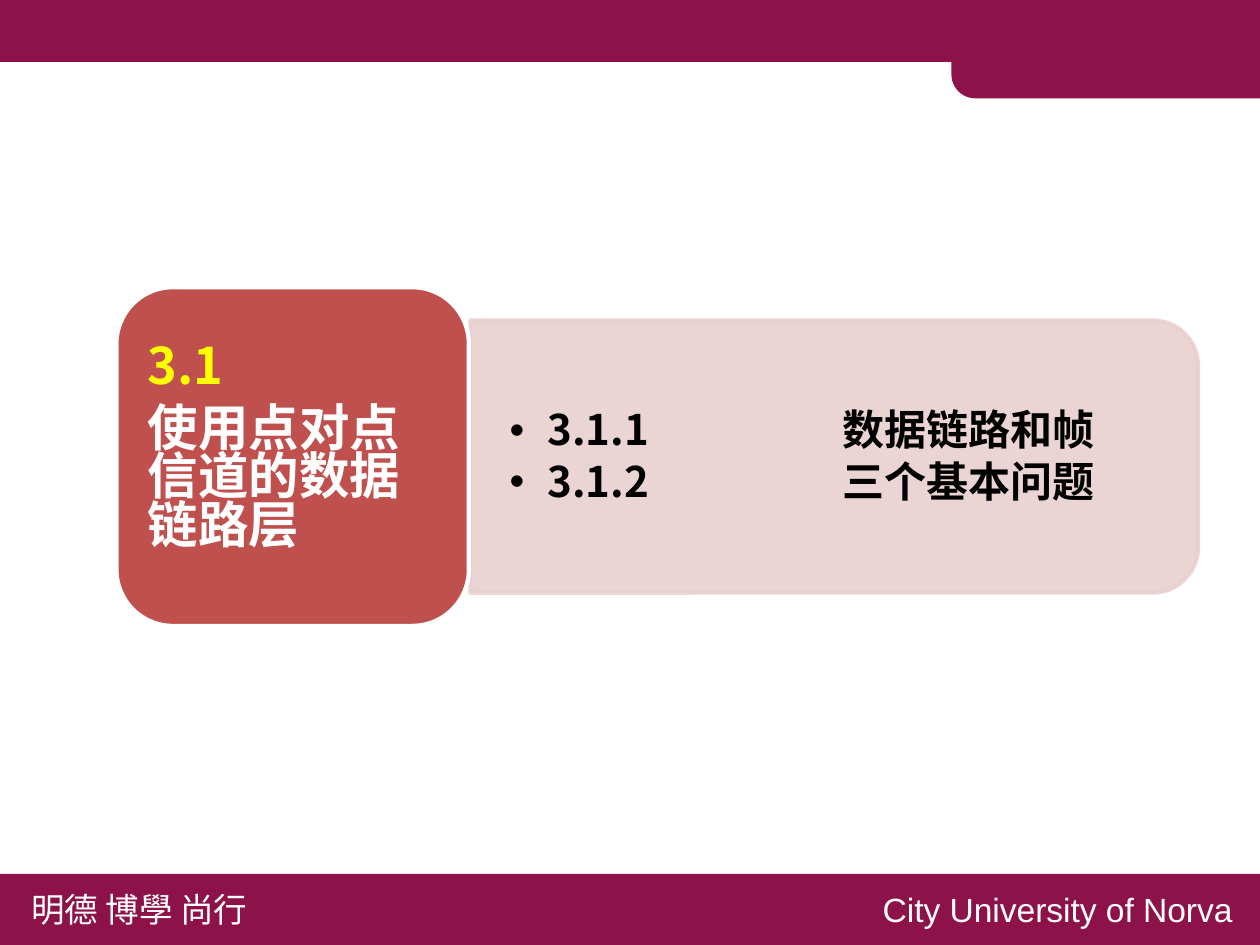
from lxml.etree import SubElement
from pptx import Presentation
from pptx.dml.color import RGBColor
from pptx.enum.shapes import MSO_SHAPE as SHAPE
from pptx.enum.text import MSO_ANCHOR as ANCHOR, PP_ALIGN as ALIGN
from pptx.oxml.ns import qn
from pptx.util import Inches, Pt

COLORS = {"maroon": "8D124A", "pink": "E8D0D0", "red": "C0504D",
          "yellow": "FFFF00", "white": "FFFFFF", "black": "000000"}
CHINESE = "Noto Sans CJK SC"
WIDTH, HEIGHT = 8.33, 6.25

presentation = Presentation()
presentation.slide_width = Inches(WIDTH)
presentation.slide_height = Inches(HEIGHT)
slide = presentation.slides.add_slide(presentation.slide_layouts[6])


def add_filled(kind, left, top, width, height, color, rotation=0):
    """Add a filled shape; the box is the one seen after a quarter turn."""
    if rotation:
        left, top = left + (width - height) / 2, top + (height - width) / 2
        width, height = height, width
    shape = slide.shapes.add_shape(kind, Inches(left), Inches(top),
                                   Inches(width), Inches(height))
    shape.rotation = rotation
    shape.shadow.inherit = False
    shape.fill.solid()
    shape.fill.fore_color.rgb = RGBColor.from_string(COLORS[color])
    shape.line.fill.background()
    return shape


def add_text(paragraph, text, size, color, font=CHINESE, bold=False):
    run = paragraph.add_run()
    run.text = text
    run.font.size = Pt(size)
    run.font.bold = bold
    run.font.name = font
    run.font.color.rgb = RGBColor.from_string(COLORS[color])
    SubElement(run.font._element, qn("a:ea"), typeface=font)


# Header and footer bands
add_filled(SHAPE.RECTANGLE, 0, 0, WIDTH, 0.41, "maroon")
header_tab = add_filled(SHAPE.ROUND_2_SAME_RECTANGLE, 6.29, 0.02, 2.04, 0.63,
                        "maroon", rotation=270)
header_tab.adjustments[0] = 0.25
add_filled(SHAPE.RECTANGLE, 0, 5.78, WIDTH, 0.47, "maroon")

for left, width, text, font, align in (
        (0.11, 1.68, "明德 博學 尚行", CHINESE, ALIGN.LEFT),
        (5.63, 2.62, "City University of Norva", "Arial", ALIGN.RIGHT)):
    footer = slide.shapes.add_textbox(Inches(left), Inches(5.83),
                                      Inches(width), Inches(0.37))
    footer.text_frame.word_wrap = False
    paragraph = footer.text_frame.paragraphs[0]
    paragraph.alignment = align
    add_text(paragraph, text, 16, "white", font)

# Panel behind the list of subsections
panel = add_filled(SHAPE.ROUND_2_SAME_RECTANGLE, 3.11, 2.12, 4.81, 1.8,
                   "pink", rotation=90)
panel.line.color.rgb = RGBColor.from_string(COLORS["pink"])
panel.line.width = Pt(2)
for color_element in panel._element.spPr.iter(qn("a:srgbClr")):
    SubElement(color_element, qn("a:alpha"), val="90000")

# Subsections, number and name in two tabbed columns
subsections = slide.shapes.add_textbox(Inches(3.1), Inches(2.22),
                                       Inches(4.73), Inches(1.62))
frame = subsections.text_frame
frame.word_wrap = True
frame.vertical_anchor = ANCHOR.MIDDLE
frame.margin_left = frame.margin_right = Inches(0.27)
frame.margin_top = frame.margin_bottom = Inches(0.14)
for index, (number, name) in enumerate((("3.1.1", "数据链路和帧"),
                                        ("3.1.2", "三个基本问题"))):
    paragraph = frame.add_paragraph() if index else frame.paragraphs[0]
    paragraph.line_spacing = 0.9
    paragraph.space_after = Pt(3)
    properties = paragraph._p.get_or_add_pPr()
    properties.set("marL", str(Inches(0.25)))
    properties.set("indent", str(-Inches(0.25)))
    SubElement(properties, qn("a:buFont"), typeface="Arial")
    SubElement(properties, qn("a:buChar"), char="•")
    tab_stops = SubElement(properties, qn("a:tabLst"))
    SubElement(tab_stops, qn("a:tab"), pos=str(Inches(2.2)), algn="l")
    add_text(paragraph, f"{number}\t{name}", 20, "black", bold=True)

# Section block
section = add_filled(SHAPE.ROUNDED_RECTANGLE, 0.77, 1.9, 2.33, 2.24, "red")
section.line.color.rgb = RGBColor.from_string(COLORS["white"])
section.line.width = Pt(2)
frame = section.text_frame
frame.word_wrap = True
frame.vertical_anchor = ANCHOR.MIDDLE
for index, (text, color, spacing) in enumerate((
        ("3.1", "yellow", 0.5),
        ("使用点对点信道的数据链路层", "white", 0.8))):
    paragraph = frame.add_paragraph() if index else frame.paragraphs[0]
    paragraph.alignment = ALIGN.LEFT
    paragraph.line_spacing = spacing
    paragraph.space_after = Pt(8.4)
    add_text(paragraph, text, 24, color, bold=True)

presentation.save("out.pptx")
